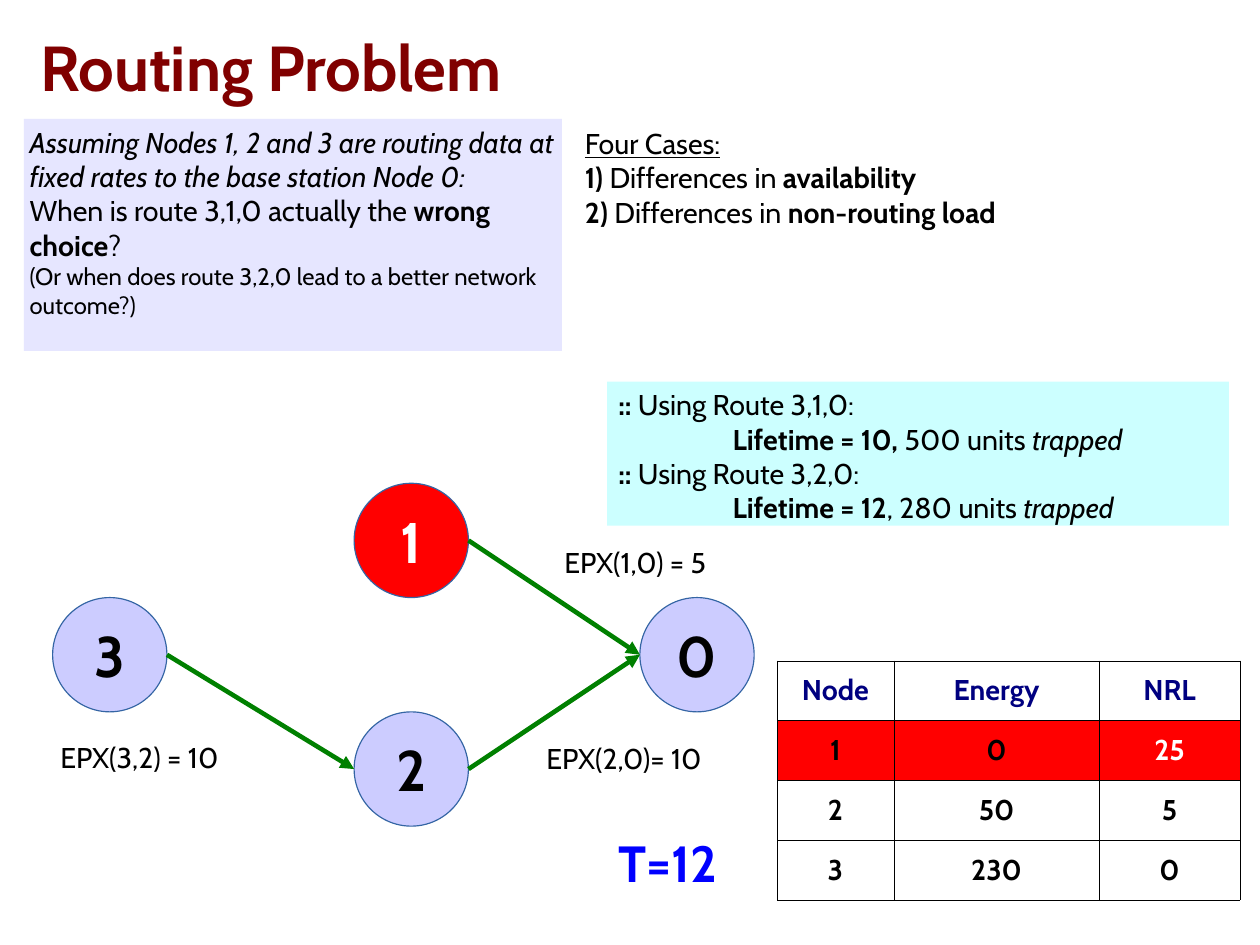
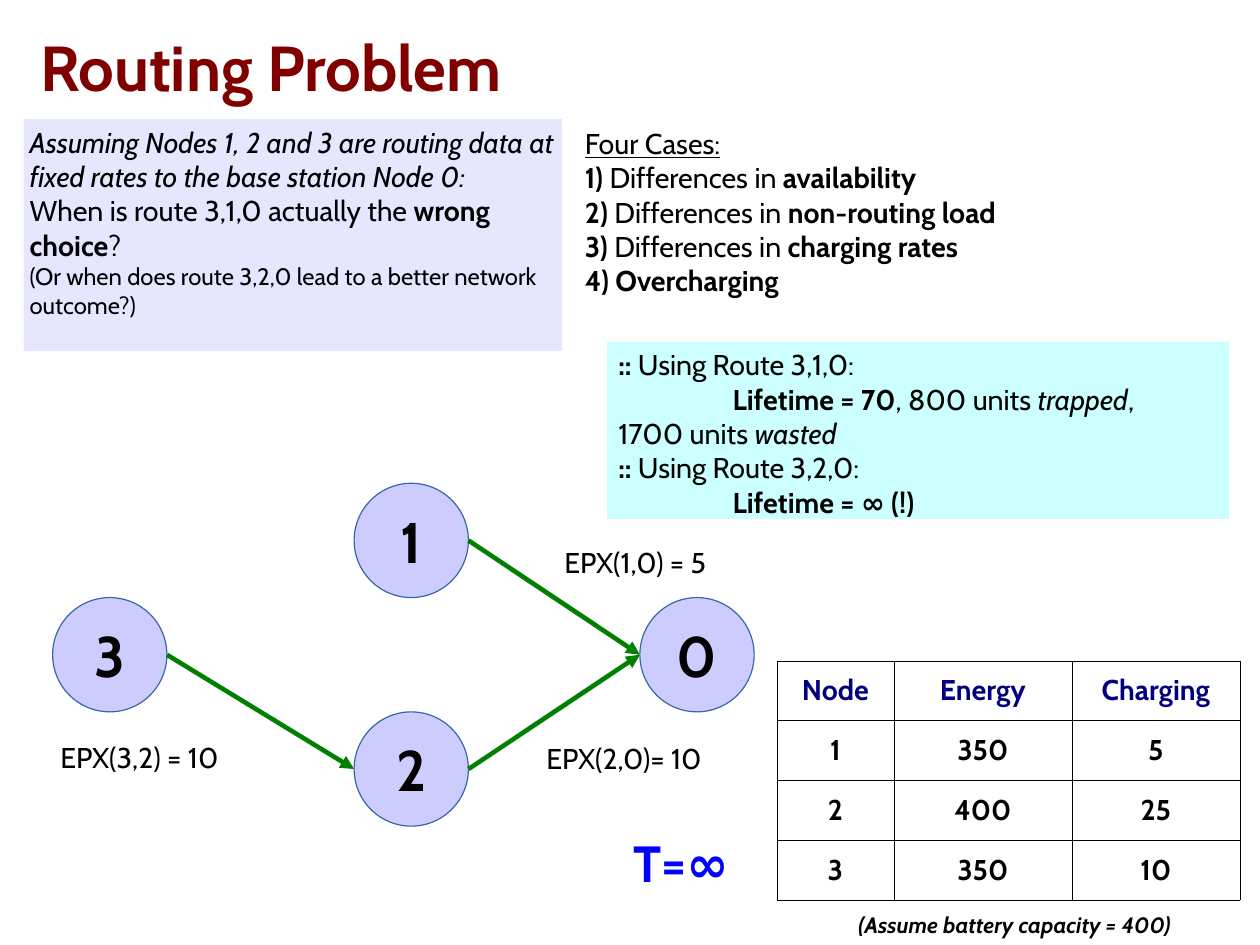
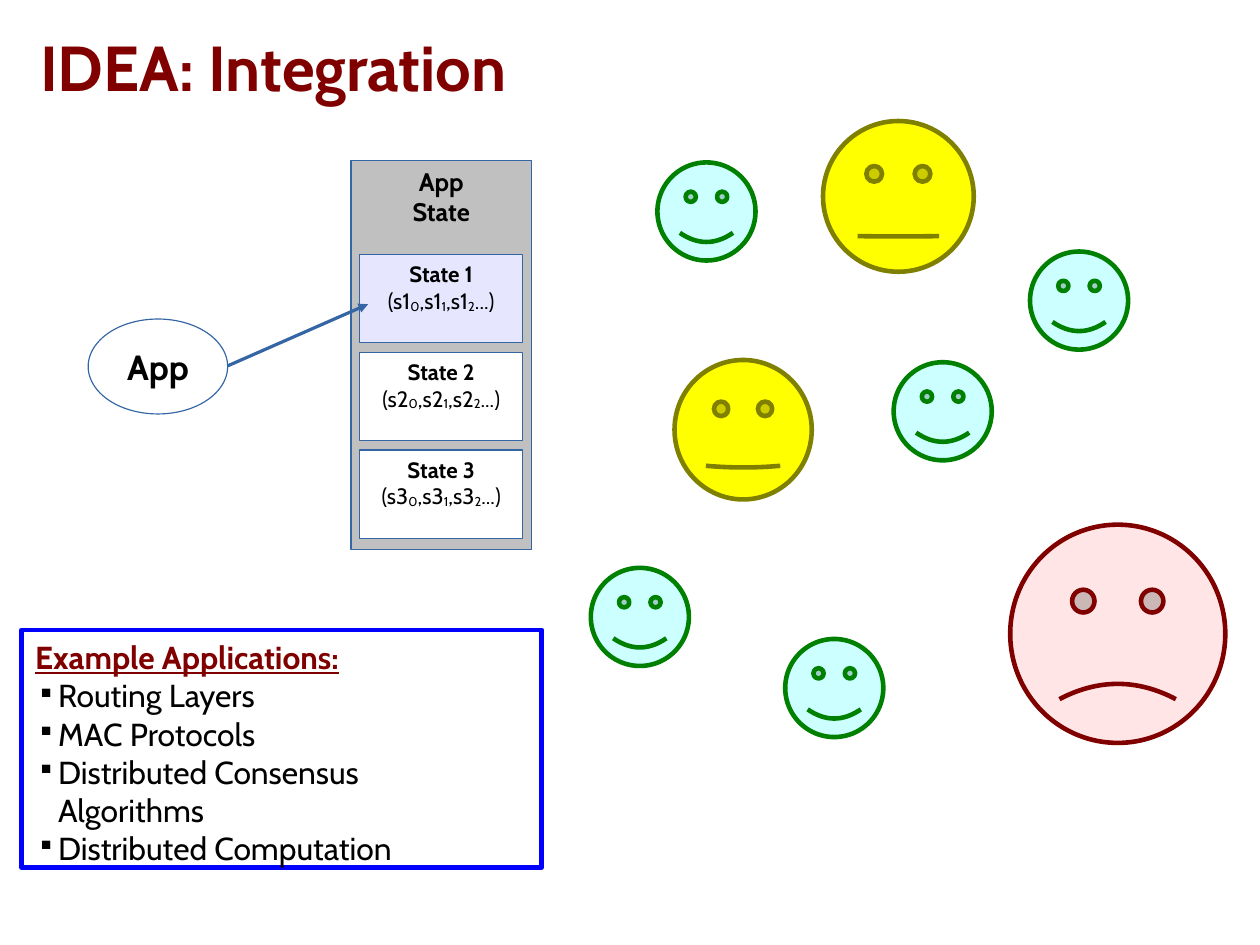
from collections import namedtuple
from dataclasses import dataclass

from lxml import etree
from pptx import Presentation
from pptx.dml.color import RGBColor
from pptx.enum.shapes import MSO_CONNECTOR, MSO_SHAPE
from pptx.enum.text import MSO_ANCHOR, PP_ALIGN
from pptx.oxml.ns import qn
from pptx.util import Cm, Pt


# Theme: colours and type sizes
@dataclass(frozen=True)
class Theme:
    font: str = "Cabin"
    black: str = "000000"
    white: str = "FFFFFF"
    maroon: str = "800000"
    navy: str = "000080"
    blue: str = "0000FF"
    red: str = "FF0000"
    green: str = "008000"
    olive: str = "808000"
    yellow: str = "FFFF00"
    pink: str = "FFE5E5"
    grey: str = "C0C0C0"
    lavender: str = "E6E6FF"
    node: str = "CCCCFF"
    cyan: str = "CCFFFF"
    outline: str = "3465A4"
    title: int = 40
    node_size: int = 36
    time: int = 32
    app: int = 22
    list_size: int = 20
    body: int = 18
    panel: int = 16
    aside: int = 15
    small: int = 14
    heavy: float = 2.89


T = Theme()
Box = namedtuple("Box", "left top width height")


def rgb(color):
    return RGBColor.from_string(color)


def child(parent, tag, **attrs):
    el = etree.SubElement(parent, qn(tag))
    for key, value in attrs.items():
        el.set(key, str(value))
    return el


# Basic parts
def frame(sp, anchor=MSO_ANCHOR.TOP, inset=(0.25, 0.13, 0.25, 0.13)):
    tf = sp.text_frame
    tf.word_wrap = True
    tf.vertical_anchor = anchor
    tf.margin_left, tf.margin_top, tf.margin_right, tf.margin_bottom = map(Cm, inset)
    return tf


def write(tf, text, size=T.body, color=T.black, style="", align=PP_ALIGN.LEFT,
          indent=0, bullet=False):
    """Add a paragraph; text is a string or (text, style) runs, styles being letters of "bius"."""
    p = tf.paragraphs[0]
    if p.runs:
        p = tf.add_paragraph()
    p.alignment = align
    pPr = p._p.get_or_add_pPr()
    if indent:
        pPr.set("indent", str(Cm(indent)))
    if bullet:
        pPr.set("marL", str(Cm(0.51)))
        pPr.set("indent", str(Cm(-0.38)))
        child(child(pPr, "a:buClr"), "a:srgbClr", val=T.black)
        child(pPr, "a:buSzPct", val=45000)
        child(pPr, "a:buChar", char="■")
    for words, letters in [(text, style)] if isinstance(text, str) else text:
        for i, line in enumerate(words.split("\n")):
            if i:
                p.add_line_break()
            r = p.add_run()
            r.text = line
            f = r.font
            f.name, f.size, f.color.rgb = T.font, Pt(size), rgb(color)
            f.bold, f.italic, f.underline = ("b" in letters, "i" in letters, "u" in letters)
            if "s" in letters:
                f._element.set("baseline", "-8000")


def textbox(s, box, **kw):
    return frame(s.shapes.add_textbox(*map(Cm, box)), **kw)


def shape(s, kind, box, fill=None, line=None, width=0):
    sp = s.shapes.add_shape(kind, *map(Cm, box))
    sp.shadow.inherit = False
    if fill:
        sp.fill.solid()
        sp.fill.fore_color.rgb = rgb(fill)
    else:
        sp.fill.background()
    if line:
        sp.line.color.rgb = rgb(line)
        sp.line.width = Pt(width)
    else:
        sp.line.fill.background()
    return sp


def oval(s, box, text, size, fill, color=T.black):
    sp = shape(s, MSO_SHAPE.OVAL, box, fill, T.outline)
    write(frame(sp, MSO_ANCHOR.MIDDLE), text, size, color, "b", PP_ALIGN.CENTER)


def arrow(s, x1, y1, x2, y2, color, width):
    c = s.shapes.add_connector(MSO_CONNECTOR.STRAIGHT, *map(Cm, (x1, y1, x2, y2)))
    c.line.color.rgb = rgb(color)
    c.line.width = Pt(width)
    child(c.line._get_or_add_ln(), "a:tailEnd", type="triangle")
    child(c._element.spPr, "a:effectLst")


def new_slide(prs, title):
    s = prs.slides.add_slide(prs.slide_layouts[6])
    tf = textbox(s, Box(0.89, 0, 27.13, 2.92), anchor=MSO_ANCHOR.MIDDLE, inset=(0, 0, 0, 0))
    write(tf, title, T.title, T.maroon, "b")
    return s


# Routing slides
def question(s, box):
    sp = shape(s, MSO_SHAPE.RECTANGLE, box, T.lavender)
    tf = frame(sp, inset=(0.13, 0.13, 0.13, 0))
    write(tf, "Assuming Nodes 1, 2 and 3 are routing data at fixed rates "
              "to the base station Node 0:", style="i")
    write(tf, [("When is route 3,1,0 actually the ", ""), ("wrong choice", "b"), ("?", "")])
    write(tf, "(Or when does route 3,2,0 lead to a better network outcome?)", T.aside)


def cases(s, box, count):
    tf = textbox(s, box)
    write(tf, "Four Cases:", style="u")
    topics = ["availability", "non-routing load", "charging rates"]
    for i, topic in enumerate(topics[:count], 1):
        write(tf, [(f"{i}) ", "b"), ("Differences in ", ""), (topic, "b")])
    if count > len(topics):
        write(tf, "4) Overcharging", style="b")


def graph(s, box, time, time_left, dead):
    d = 2.54
    spots = {"1": (6.7, 0), "2": (6.7, 2 * d), "0": (13.05, d), "3": (0, d)}
    spots = {name: (box.left + x, box.top + y) for name, (x, y) in spots.items()}
    for name, (x, y) in spots.items():
        fill, color = (T.red, T.white) if name in dead else (T.node, T.black)
        oval(s, Box(x, y, d, d), name, T.node_size, fill, color)
    for start, end in ("10", "20", "32"):
        (x1, y1), (x2, y2) = spots[start], spots[end]
        arrow(s, x1 + d, y1 + d / 2, x2, y2 + d / 2, T.green, T.heavy)
    for text, x, y in [("EPX(1,0) = 5", 11.12, 1.25), ("EPX(2,0)= 10", 10.72, 5.59),
                       ("EPX(3,2) = 10", -0.08, 5.57)]:
        write(textbox(s, Box(box.left + x, box.top + y, 4.9, 1)), text)
    tf = textbox(s, Box(box.left + time_left, box.top + 7.62, 3.4, 1.6))
    write(tf, time, T.time, T.blue, "b")


def results(s, box, routes):
    tf = frame(shape(s, MSO_SHAPE.RECTANGLE, box, T.cyan))
    for route, (outcome, *more) in routes.items():
        write(tf, [(":: ", "b"), (f"Using Route {route}:", "")])
        write(tf, outcome, indent=2.54)
        for line in more:
            write(tf, line)


def node_table(s, box, widths, rows, dead):
    table = s.shapes.add_table(len(rows), len(widths), *map(Cm, box)).table
    table.first_row = table.horz_banding = False
    for col, width in zip(table.columns, widths):
        col.width = Cm(width)
    for i, values in enumerate(rows):
        table.rows[i].height = Cm(box.height / len(rows))
        for j, value in enumerate(values):
            cell = table.cell(i, j)
            for side in "LRTB":
                ln = child(cell._tc.get_or_add_tcPr(), f"a:ln{side}", w=Pt(0.06))
                child(child(ln, "a:solidFill"), "a:srgbClr", val=T.black)
            is_dead = values[0] in dead
            cell.fill.solid()
            cell.fill.fore_color.rgb = rgb(T.red if is_dead else T.white)
            cell.vertical_anchor = MSO_ANCHOR.MIDDLE
            last = j == len(values) - 1
            color = T.navy if i == 0 else T.white if is_dead and last else T.black
            write(cell.text_frame, value, T.body, color, "b", PP_ALIGN.CENTER)


def routing_slide(prs, case_count, time, time_left, result_box, routes, widths, rows,
                  dead=(), note=None):
    s = new_slide(prs, "Routing Problem")
    question(s, Box(0.53, 2.64, 11.96, 5.16))
    cases(s, Box(12.75, 2.67, 12.98, 5.41), case_count)
    node_table(s, Box(17.27, 14.68, sum(widths), 5.33), widths, rows, dead)
    graph(s, Box(1.17, 10.74, 15.59, 7.62), time, time_left, dead)
    results(s, result_box, routes)
    if note:
        write(textbox(s, Box(17.32, 20.12, 10.46, 0.84)), note, T.small, style="bi",
              align=PP_ALIGN.CENTER)


# Integration slide
def app_state(s, box):
    panel = Box(box.left + 5.84, box.top, 4.01, box.height)
    tf = frame(shape(s, MSO_SHAPE.RECTANGLE, panel, T.grey, T.outline))
    for word in ("App", "State"):
        write(tf, word, T.panel, style="b", align=PP_ALIGN.CENTER)
    for i in range(3):
        state = Box(panel.left + 0.19, panel.top + 2.1 + 2.17 * i, 3.63, 1.96)
        fill = T.white if i else T.lavender
        tf = frame(shape(s, MSO_SHAPE.RECTANGLE, state, fill, T.outline))
        name = f"s{i + 1}"
        write(tf, f"State {i + 1}", T.small, style="b", align=PP_ALIGN.CENTER)
        write(tf, [(f"({name}", ""), ("0", "s"), (f",{name}", ""), ("1", "s"),
                   (f",{name}", ""), ("2", "s"), ("...)", "")],
              T.small, align=PP_ALIGN.CENTER)
    oval(s, Box(box.left, box.top + 3.53, 3.1, 2.11), "App", T.app, T.white)
    arrow(s, box.left + 3.1, box.top + 4.57, box.left + 6.22, box.top + 3.2, T.outline, 0)


def faces(s, box):
    moods = {"happy": (0.047, T.cyan, T.green), "neutral": (0.001, T.yellow, T.olive),
             "uneasy": (0.006, T.yellow, T.olive), "sad": (-0.035, T.pink, T.maroon)}
    crowd = [("happy", 1.48, 0.92, 2.18, 2.18), ("neutral", 5.16, 0, 3.35, 3.35),
             ("happy", 6.73, 5.36, 2.18, 2.18), ("uneasy", 1.86, 5.31, 3.05, 3.1),
             ("happy", 4.32, 11.51, 2.18, 2.18), ("sad", 9.32, 8.97, 4.78, 4.85),
             ("happy", 9.76, 2.9, 2.18, 2.18), ("happy", 0, 9.93, 2.18, 2.18)]
    for mood, x, y, width, height in crowd:
        smile, fill, line = moods[mood]
        sp = shape(s, MSO_SHAPE.SMILEY_FACE, Box(box.left + x, box.top + y, width, height),
                   fill, line, T.heavy)
        sp.adjustments[0] = smile


def examples(s, box):
    sp = shape(s, MSO_SHAPE.RECTANGLE, box, line=T.blue, width=T.heavy)
    tf = frame(sp, inset=(0.3, 0.18, 0.3, 0.18))
    write(tf, "Example Applications:", T.list_size, T.maroon, "bu")
    for item in ("Routing Layers", "MAC Protocols", "Distributed Consensus\nAlgorithms",
                 "Distributed Computation"):
        write(tf, item, T.list_size, bullet=True)


def integration_slide(prs):
    s = new_slide(prs, "IDEA: Integration")
    app_state(s, Box(1.96, 3.56, 9.85, 8.66))
    faces(s, Box(13.13, 2.69, 14.1, 13.82))
    examples(s, Box(0.48, 14, 11.56, 5.28))


def main():
    prs = Presentation()
    prs.slide_width, prs.slide_height = Cm(28), Cm(21)
    routing_slide(
        prs, 2, "T=12", 12.32, Box(13.49, 8.48, 13.82, 3.2),
        {"3,1,0": [[("Lifetime = 10, ", "b"), ("500 units ", ""), ("trapped", "i")]],
         "3,2,0": [[("Lifetime = 12", "b"), (", 280 units ", ""), ("trapped", "i")]]},
        (2.59, 4.57, 3.12),
        [("Node", "Energy", "NRL"), ("1", "0", "25"), ("2", "50", "5"), ("3", "230", "0")],
        dead=("1",))
    routing_slide(
        prs, 4, "T=∞", 12.65, Box(13.49, 7.59, 13.82, 3.94),
        {"3,1,0": [[("Lifetime = 70", "b"), (", 800 units ", ""), ("trapped", "i"), (",", "")],
                   [("1700 units ", ""), ("wasted", "i")]],
         "3,2,0": [[("Lifetime = ∞ (!)", "b")]]},
        (2.59, 3.96, 3.73),
        [("Node", "Energy", "Charging"), ("1", "350", "5"), ("2", "400", "25"),
         ("3", "350", "10")],
        note="(Assume battery capacity = 400)")
    integration_slide(prs)
    prs.save("out.pptx")


if __name__ == "__main__":
    main()
